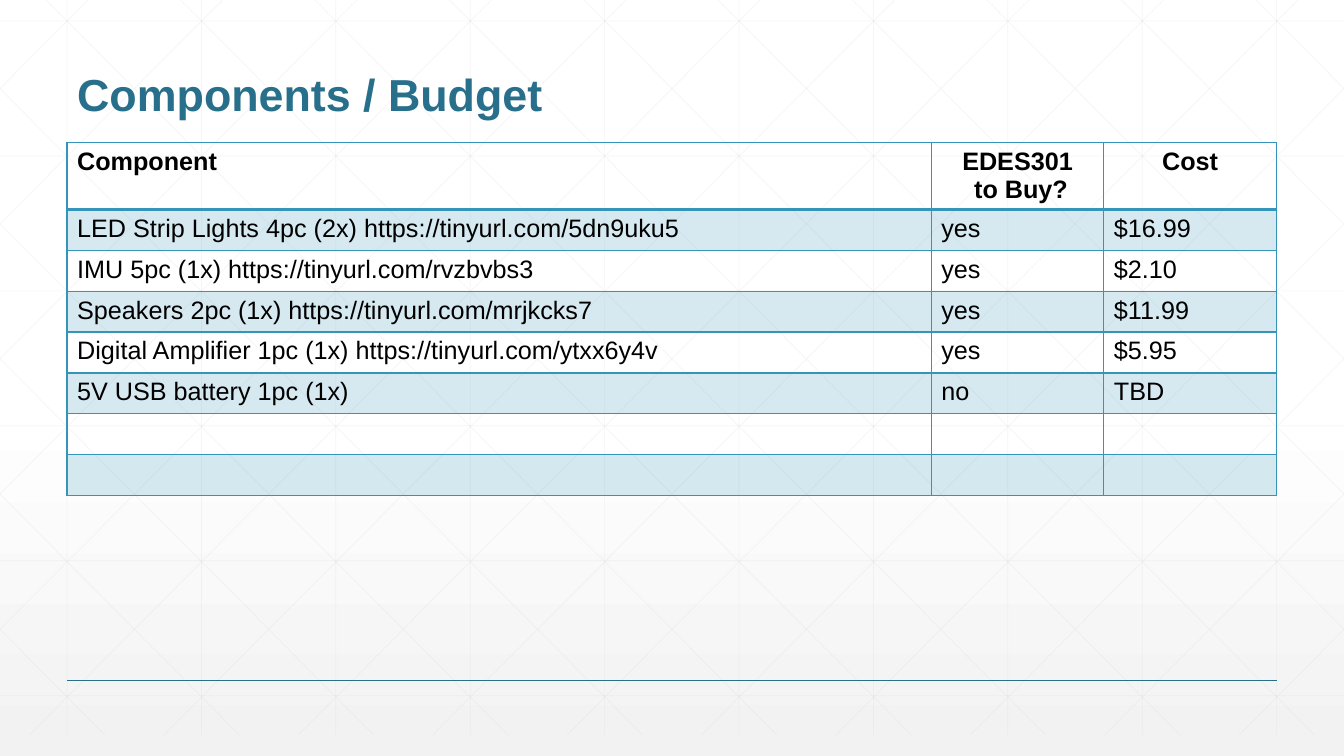
from copy import deepcopy

from lxml import etree
from pptx import Presentation
from pptx.dml.color import RGBColor
from pptx.enum.shapes import MSO_CONNECTOR
from pptx.enum.text import MSO_ANCHOR, PP_ALIGN
from pptx.oxml.ns import qn
from pptx.util import Cm, Pt

STRAIGHT = MSO_CONNECTOR.STRAIGHT
BOTTOM = MSO_ANCHOR.BOTTOM
LEFT, CENTER = PP_ALIGN.LEFT, PP_ALIGN.CENTER

COLORS = {
    "paper": "FFFFFF",
    "shade": "F2F2F2",
    "grid": "D9D9D9",
    "title": "276F8B",
    "accent": "3494BA",
    "text": "000000",
}
FONT = "Arial"

# Lengths in centimetres
SLIDE_W, SLIDE_H = 33.87, 19.05
MARGIN = 1.69
CONTENT_W = SLIDE_W - 2 * MARGIN
GRID_TOP, GRID_BOTTOM = -0.53, 18.52
GRID_STEP = SLIDE_W / 10
FIRST_ROW_Y, ROW_STEP = 0.53, 3.4
DIAGONAL_START, DIAGONAL_RUN = 0.64, 18.94
TABLE_TOP, ROW_HEIGHT = 3.6, 1.03
COLUMN_WIDTHS = (21.78, 4.35, 4.35)

HEADINGS = (["Component"], ["EDES301", " to Buy?"], ["Cost"])
COMPONENTS = (
    ("LED Strip Lights 4pc (2x) https://tinyurl.com/5dn9uku5", "yes", "$16.99"),
    ("IMU 5pc (1x) https://tinyurl.com/rvzbvbs3", "yes", "$2.10"),
    ("Speakers 2pc (1x) https://tinyurl.com/mrjkcks7", "yes", "$11.99"),
    ("Digital Amplifier 1pc (1x) https://tinyurl.com/ytxx6y4v", "yes", "$5.95"),
    ("5V USB battery 1pc (1x)", "no", "TBD"),
    ("", "", ""),
    ("", "", ""),
)


def rgb(name):
    return RGBColor.from_string(COLORS[name])


def set_alpha(element, percent):
    """Make the solid colour inside an element partly transparent."""
    color = element.find(".//" + qn("a:srgbClr"))
    etree.SubElement(color, qn("a:alpha"), val=str(percent * 1000))


def add_line(slide, start, end, color, width, alpha=None):
    line = slide.shapes.add_connector(
        STRAIGHT, Cm(start[0]), Cm(start[1]), Cm(end[0]), Cm(end[1]))
    line.line.color.rgb = rgb(color)
    line.line.width = Pt(width)
    properties = line.element.spPr
    if alpha:
        set_alpha(properties, alpha)
    etree.SubElement(properties, qn("a:effectLst"))


def set_background(slide):
    fill = slide.background.fill
    fill.gradient()
    fill.gradient_angle = 270
    stop_list = slide.element.find(".//" + qn("a:gsLst"))
    stop_list.append(deepcopy(stop_list[-1]))
    stops = ((0, "paper"), (0.53, "paper"), (1, "shade"))
    for stop, (position, color) in zip(fill.gradient_stops, stops):
        stop.position = position
        stop.color.rgb = rgb(color)


def clipped_diagonal(top_x):
    """Return the ends of a falling diagonal, cut at the slide's sides."""
    slope = (GRID_BOTTOM - GRID_TOP) / DIAGONAL_RUN
    left = max(top_x, 0)
    right = min(top_x + DIAGONAL_RUN, SLIDE_W)
    return [(x, GRID_TOP + (x - top_x) * slope) for x in (left, right)]


def add_grid(slide):
    lines = []
    for column in range(10):
        x = MARGIN + column * GRID_STEP
        lines.append(((x, GRID_TOP), (x, GRID_BOTTOM)))
    for row in range(6):
        y = FIRST_ROW_Y + row * ROW_STEP
        lines.append(((0, y), (SLIDE_W, y)))
    for step in range(-5, 10):
        falling = clipped_diagonal(DIAGONAL_START + step * GRID_STEP)
        lines.append(falling)
        lines.append([(SLIDE_W - x, y) for x, y in falling])
    for start, end in lines:
        add_line(slide, start, end, "grid", 0.5, alpha=25)


def add_run(paragraph, text, size, color, bold):
    run = paragraph.add_run()
    run.text = text
    run.font.name = FONT
    run.font.size = Pt(size)
    run.font.bold = bold
    run.font.color.rgb = rgb(color)


def add_title(slide, text):
    title = slide.shapes.title
    title.left, title.top = Cm(MARGIN), Cm(0.64)
    title.width, title.height = Cm(CONTENT_W), Cm(2.54)
    title.text_frame.vertical_anchor = BOTTOM
    paragraph = title.text_frame.paragraphs[0]
    paragraph.alignment = LEFT
    paragraph.line_spacing = 0.9
    add_run(paragraph, text, 32, "title", True)
    # Bring the title in front of the grid
    title.element.getparent().append(title.element)


def set_borders(cell, top=1, bottom=1):
    properties = cell._tc.get_or_add_tcPr()
    for side, width in (("L", 1), ("R", 1), ("T", top), ("B", bottom)):
        border = etree.SubElement(properties, qn("a:ln" + side), w=str(Pt(width)))
        fill = etree.SubElement(border, qn("a:solidFill"))
        etree.SubElement(fill, qn("a:srgbClr"), val=COLORS["accent"])


def fill_cell(cell, banded):
    if banded:
        cell.fill.solid()
        cell.fill.fore_color.rgb = rgb("accent")
        set_alpha(cell._tc.tcPr.find(qn("a:solidFill")), 20)
    else:
        cell.fill.background()


def write_cell(cell, lines, alignment, bold):
    frame = cell.text_frame
    for index, text in enumerate(lines):
        paragraph = frame.add_paragraph() if index else frame.paragraphs[0]
        paragraph.alignment = alignment
        paragraph.font.size = Pt(18)
        if text:
            add_run(paragraph, text, 18, "text", bold)


def add_budget_table(slide):
    rows = [HEADINGS] + [[[text] for text in row] for row in COMPONENTS]
    table = slide.shapes.add_table(
        len(rows), len(COLUMN_WIDTHS), Cm(MARGIN), Cm(TABLE_TOP),
        Cm(CONTENT_W), Cm(ROW_HEIGHT * len(rows))).table
    table.first_row = table.horz_banding = False
    for column, width in zip(table.columns, COLUMN_WIDTHS):
        column.width = Cm(width)
    for row_index, row in enumerate(rows):
        table.rows[row_index].height = Cm(ROW_HEIGHT)
        heading = row_index == 0
        for column_index, lines in enumerate(row):
            cell = table.cell(row_index, column_index)
            set_borders(cell, top=2 if row_index == 1 else 1,
                        bottom=2 if heading else 1)
            fill_cell(cell, banded=row_index % 2 == 1)
            centered = heading and column_index > 0
            write_cell(cell, lines, CENTER if centered else LEFT, heading)


def main():
    presentation = Presentation()
    presentation.slide_width = Cm(SLIDE_W)
    presentation.slide_height = Cm(SLIDE_H)
    slide = presentation.slides.add_slide(presentation.slide_layouts[5])
    set_background(slide)
    add_grid(slide)
    add_line(slide, (MARGIN, 17.15), (SLIDE_W - MARGIN, 17.15), "title", 1)
    add_title(slide, "Components / Budget")
    add_budget_table(slide)
    presentation.save("out.pptx")


if __name__ == "__main__":
    main()
